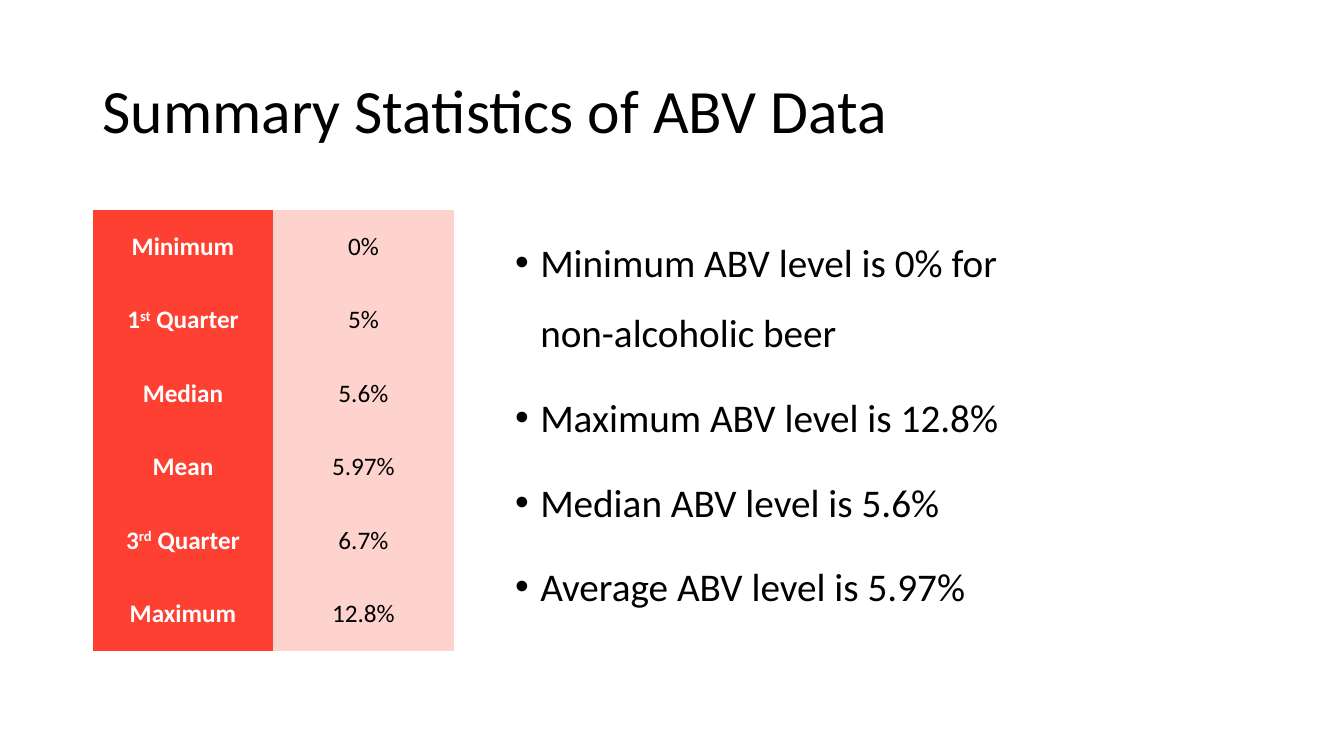
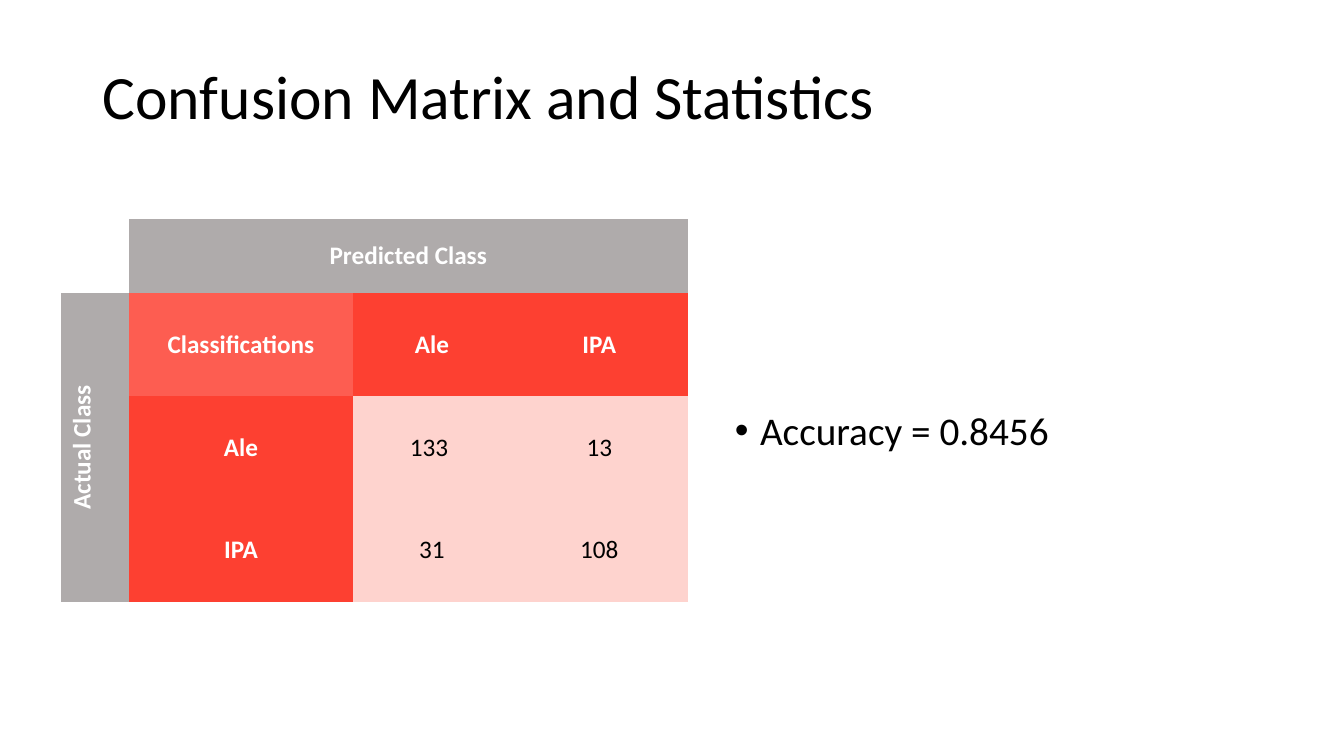
"""Build two slides on beer ABV statistics and a classifier's confusion matrix."""
from lxml import etree
from pptx import Presentation, util as u
from pptx.dml.color import RGBColor
from pptx.enum import text
from pptx.oxml.ns import qn

PX = 9144
FONT = "Calibri"
BLACK = RGBColor(0x00, 0x00, 0x00)
WHITE = RGBColor(0xFF, 0xFF, 0xFF)
RED = RGBColor(0xFD, 0x40, 0x31)
LIGHT_RED = RGBColor(0xFD, 0x5D, 0x51)
PINK = RGBColor(0xFE, 0xD3, 0xCE)
GRAY = RGBColor(0xAF, 0xAB, 0xAB)
PLAIN_TABLE = "{2D5ABB26-0587-4C30-8999-92F81FD0307C}"

SLIDES = [
    {
        "title": "Summary Statistics of ABV Data",
        "title_top": 40,
        "table_at": (92, 208),
        "columns": [179, 179],
        "rows": [73] * 6,
        "cells": [
            [("Minimum", RED), ("0%", PINK)],
            [("1^st^ Quarter", RED), ("5%", PINK)],
            [("Median", RED), ("5.6%", PINK)],
            [("Mean", RED), ("5.97%", PINK)],
            [("3^rd^ Quarter", RED), ("6.7%", PINK)],
            [("Maximum", RED), ("12.8%", PINK)],
        ],
        "merges": [],
        "vertical": [],
        "points_at": (501, 208, 572, 465),
        "points": [
            "Minimum ABV level is 0% for non-alcoholic beer",
            "Maximum ABV level is 12.8%",
            "Median ABV level is 5.6%",
            "Average ABV level is 5.97%",
        ],
    },
    {
        "title": "Confusion Matrix and Statistics",
        "title_top": 26,
        "table_at": (61, 217),
        "columns": [67, 222, 157, 175],
        "rows": [74, 102, 102, 102],
        "cells": [
            [("", WHITE), ("Predicted Class", GRAY), ("", GRAY), ("", GRAY)],
            [("Actual Class", GRAY), ("Classifications", LIGHT_RED), ("Ale", RED), ("IPA", RED)],
            [("", GRAY), ("Ale", RED), ("133 ", PINK), ("13", PINK)],
            [("", GRAY), ("IPA", RED), ("31", PINK), ("108", PINK)],
        ],
        "merges": [((0, 1), (0, 3)), ((1, 0), (3, 0))],
        "vertical": [(1, 0)],
        "points_at": (719, 375, 349, 119),
        "points": ["Accuracy = 0.8456"],
    },
]


def style_run(run, size, color, bold=False):
    run.font.name = FONT
    run.font.size = u.Pt(size)
    run.font.color.rgb = color
    run.font.bold = bold


def add_text(slide, box, lines, size, spacing):
    frame = slide.shapes.add_textbox(*[side * PX for side in box]).text_frame
    frame.word_wrap = True
    frame.text = "\n".join(lines)
    for paragraph in frame.paragraphs:
        paragraph.line_spacing = spacing
        style_run(paragraph.runs[0], size, BLACK)
    return frame


deck = Presentation()
deck.slide_width, deck.slide_height = 1333 * PX, 750 * PX

for content in SLIDES:
    slide = deck.slides.add_slide(deck.slide_layouts[6])
    title = add_text(slide, (92, content["title_top"], 1150, 145), [content["title"]], 44, 0.9)
    title.vertical_anchor = text.MSO_ANCHOR.MIDDLE

    columns, rows = content["columns"], content["rows"]
    left, top = content["table_at"]
    table = slide.shapes.add_table(
        len(rows), len(columns), left * PX, top * PX, sum(columns) * PX, sum(rows) * PX
    ).table
    table.first_row = table.horz_banding = False
    table._tbl.tblPr.find(qn("a:tableStyleId")).text = PLAIN_TABLE
    for column, width in zip(table.columns, columns):
        column.width = width * PX
    for row, height in zip(table.rows, rows):
        row.height = height * PX

    for row, entries in zip(table.rows, content["cells"]):
        for cell, (label, fill) in zip(row.cells, entries):
            cell.fill.solid()
            cell.fill.fore_color.rgb = fill
            cell.vertical_anchor = text.MSO_ANCHOR.MIDDLE
            paragraph = cell.text_frame.paragraphs[0]
            paragraph.alignment = text.PP_ALIGN.CENTER
            for index, part in enumerate(label.split("^") if label else []):
                run = paragraph.add_run()
                run.text = part
                style_run(run, 18, BLACK if fill == PINK else WHITE, fill != PINK)
                if index == 1:
                    run.font._element.set("baseline", "30000")
    for first, last in content["merges"]:
        table.cell(*first).merge(table.cell(*last))
    for position in content["vertical"]:
        table.cell(*position)._tc.get_or_add_tcPr().set("vert", "vert270")

    points = add_text(slide, content["points_at"], content["points"], 28, 1.5)
    for paragraph in points.paragraphs:
        paragraph.space_before = u.Pt(10)
        properties = paragraph._p.get_or_add_pPr()
        properties.set("marL", str(25 * PX))
        properties.set("indent", str(-25 * PX))
        etree.SubElement(properties, qn("a:buFont")).set("typeface", "Arial")
        etree.SubElement(properties, qn("a:buChar")).set("char", "•")

deck.save("out.pptx")
